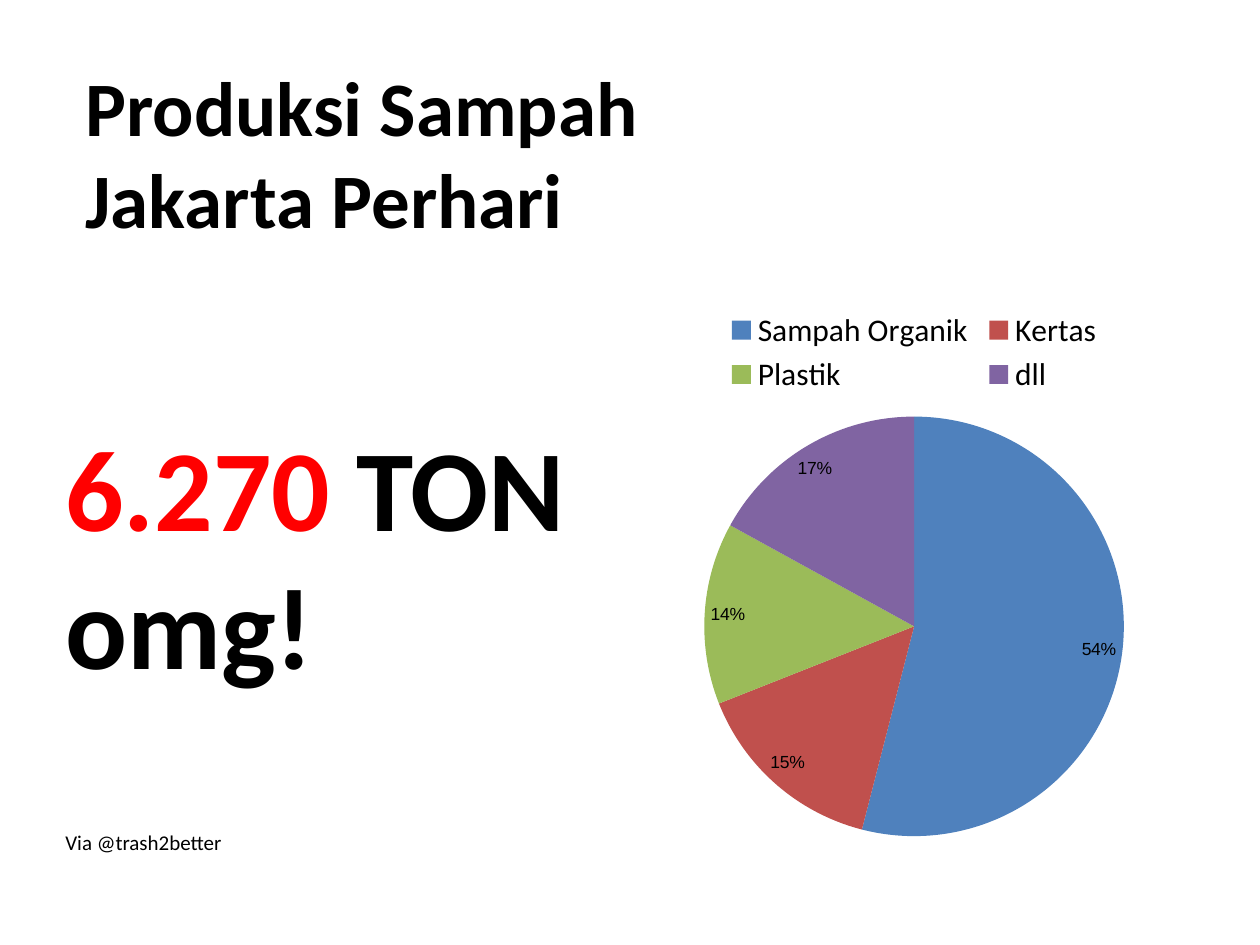
from pptx import Presentation
from pptx.chart.data import CategoryChartData
from pptx.dml.color import RGBColor
from pptx.enum.chart import XL_CHART_TYPE, XL_LABEL_POSITION, XL_LEGEND_POSITION
from pptx.oxml import parse_xml
from pptx.oxml.ns import nsdecls, qn
from pptx.util import Inches, Pt

BLACK = RGBColor(0x00, 0x00, 0x00)
RED = RGBColor(0xFF, 0x00, 0x00)
BLUE = RGBColor(0x4F, 0x81, 0xBD)
BRICK = RGBColor(0xC0, 0x50, 0x4D)
GREEN = RGBColor(0x9B, 0xBB, 0x59)
PURPLE = RGBColor(0x80, 0x64, 0xA2)

WASTE_SHARES = [
    ("Sampah Organik", 54, BLUE),
    ("Kertas", 15, BRICK),
    ("Plastik", 14, GREEN),
    ("dll", 17, PURPLE),
]


def manual_layout(x, y, width, height, target=""):
    return parse_xml(
        f"<c:layout {nsdecls('c')}><c:manualLayout>{target}"
        '<c:xMode val="edge"/><c:yMode val="edge"/>'
        f'<c:x val="{x}"/><c:y val="{y}"/><c:w val="{width}"/><c:h val="{height}"/>'
        "</c:manualLayout></c:layout>"
    )


class SlideBuilder:
    text_font = "Calibri"
    chart_font = "Arial"

    def __init__(self, slide):
        self.slide = slide

    def style_font(self, font, name, size, color, bold=False):
        font.name = name
        font.size = Pt(size)
        font.color.rgb = color
        font.bold = bold

    def text(self, left, top, width, height, paragraphs):
        box = self.slide.shapes.add_textbox(
            Inches(left), Inches(top), Inches(width), Inches(height)
        )
        frame = box.text_frame
        frame.word_wrap = True
        for index, (space_before, runs) in enumerate(paragraphs):
            paragraph = frame.add_paragraph() if index else frame.paragraphs[0]
            paragraph.space_before = Pt(space_before)
            for content, size, color, bold in runs:
                run = paragraph.add_run()
                run.text = content
                self.style_font(run.font, self.text_font, size, color, bold)

    def pie(self, left, top, width, height, shares):
        data = CategoryChartData()
        data.categories = [name for name, _, _ in shares]
        data.add_series("Series 1", [value for _, value, _ in shares])
        chart = self.slide.shapes.add_chart(
            XL_CHART_TYPE.PIE,
            Inches(left), Inches(top), Inches(width), Inches(height),
            data,
        ).chart
        chart.has_title = False
        self.style_font(chart.font, self.chart_font, 10, BLACK)

        plot = chart.plots[0]
        plot.vary_by_categories = True
        for index, (_, _, color) in enumerate(shares):
            fill = plot.series[0].points[index].format.fill
            fill.solid()
            fill.fore_color.rgb = color

        plot.has_data_labels = True
        labels = plot.data_labels
        labels.show_percentage = True
        labels.show_value = False
        labels.number_format = "0%"
        labels.number_format_is_linked = False
        labels.position = XL_LABEL_POSITION.BEST_FIT
        self.style_font(labels.font, self.chart_font, 10, BLACK)

        chart.has_legend = True
        legend = chart.legend
        legend.position = XL_LEGEND_POSITION.TOP
        legend.include_in_layout = False
        self.style_font(legend.font, self.text_font, 18, BLACK)
        self.place(legend._element, manual_layout(0.27, 0.02, 0.46, 0.17))

        plot_area = chart._chartSpace.chart.plotArea
        inner = '<c:layoutTarget val="inner"/>'
        self.place(plot_area, manual_layout(0.25, 0.22, 0.5, 0.75, inner))

    def place(self, element, layout):
        for existing in element.findall(qn("c:layout")):
            element.remove(existing)
        position = 1 if element.tag == qn("c:legend") else 0
        element.insert(position, layout)


def main():
    presentation = Presentation()
    presentation.slide_width = Inches(10)
    presentation.slide_height = Inches(7.5)
    builder = SlideBuilder(presentation.slides.add_slide(presentation.slide_layouts[6]))

    builder.text(0.58, 0.42, 5.17, 3.03, [
        (0, [("Produksi Sampah Jakarta Perhari", 44, BLACK, True)]),
    ])
    builder.text(0.42, 3.25, 4.42, 3.8, [
        (0, [("6.270 ", 66, RED, True), ("TON omg!", 66, BLACK, True)]),
        (78, [("Via @trash2better", 12, BLACK, False)]),
    ])
    builder.pie(3.92, 2.33, 6.67, 4.44, WASTE_SHARES)

    presentation.save("out.pptx")


if __name__ == "__main__":
    main()
